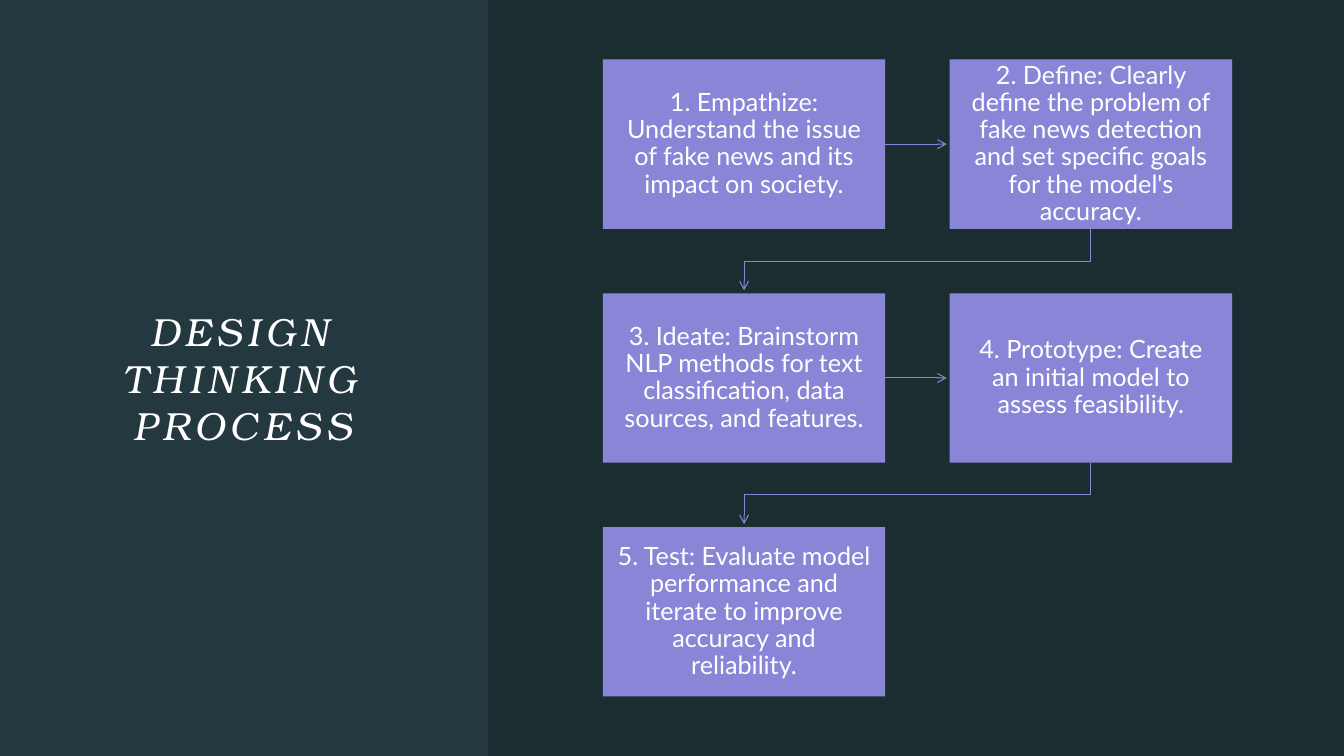
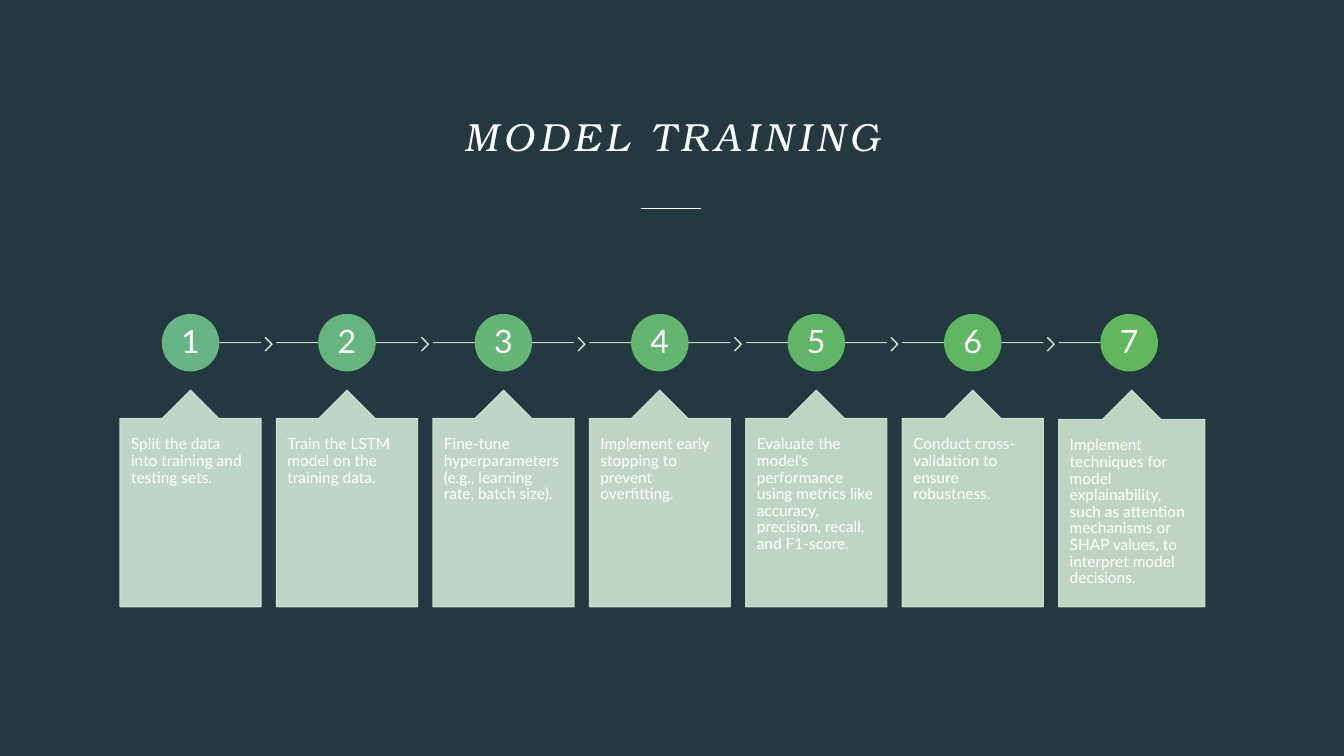
from dataclasses import dataclass
from typing import NamedTuple

from lxml import etree
from pptx import Presentation
from pptx import util as u
from pptx.dml import color as c
from pptx.enum import shapes as es, text as et
from pptx.oxml import ns
from pptx.shapes import autoshape as auto, base, connector as con
from pptx.slide import Slide


@dataclass(frozen=True)
class Theme:
    background: str = "24393F"
    panel: str = "000000"
    white: str = "FFFFFF"
    process: str = "8985D7"
    title_font: str = "TeX Gyre Bonum"
    body_font: str = "Lato"
    title_size: float = 28
    process_size: float = 18
    number_size: float = 23
    caption_size: float = 11
    title_tracking: int = 400
    line_spacing: float = 0.9
    hairline: float = 0.75
    panel_opacity: int = 20
    tint_opacity: int = 90


THEME = Theme()


class Box(NamedTuple):
    left: float
    top: float
    width: float
    height: float

    def lengths(self) -> list[u.Length]:
        return [u.Inches(value) for value in self]


class Point(NamedTuple):
    x: float
    y: float


class TrainingStep(NamedTuple):
    caption: str
    circle: str
    tint: str
    width: float = 1.4


PROCESS_STEPS = [
    "1. Empathize: Understand the issue of fake news and its impact on society.",
    "2. Define: Clearly define the problem of fake news detection and set "
    "specific goals for the model's accuracy.",
    "3. Ideate: Brainstorm NLP methods for text classification, data sources, "
    "and features.",
    "4. Prototype: Create an initial model to assess feasibility.",
    "5. Test: Evaluate model performance and iterate to improve accuracy and "
    "reliability.",
]

TRAINING_STEPS = [
    TrainingStep("Split the data into training and testing sets.", "68B484", "D3E5D8"),
    TrainingStep("Train the LSTM model on the training data.", "66B47E", "D3E5D7"),
    TrainingStep("Fine-tune hyperparameters (e.g., learning rate, batch size).",
                 "65B577", "D3E5D6"),
    TrainingStep("Implement early stopping to prevent overfitting.", "63B570", "D3E5D5"),
    TrainingStep("Evaluate the model's performance using metrics like accuracy, "
                 "precision, recall, and F1-score.", "61B569", "D2E5D4"),
    TrainingStep("Conduct cross-validation to ensure robustness.", "60B662", "D2E5D3"),
    TrainingStep("Implement techniques for model explainability, such as attention "
                 "mechanisms or SHAP values, to interpret model decisions.",
                 "62B65E", "D3E5D2", 1.45),
]


def rgb(value: str) -> c.RGBColor:
    return c.RGBColor.from_string(value)


def set_opacity(shape: base.BaseShape, percent: int) -> None:
    for color in shape.element.spPr.findall(f".//{ns.qn('a:srgbClr')}"):
        etree.SubElement(color, ns.qn("a:alpha"), val=str(percent * 1000))


def set_arrowhead(shape: base.BaseShape) -> None:
    line = shape.element.spPr.find(ns.qn("a:ln"))
    etree.SubElement(line, ns.qn("a:tailEnd"), type="arrow")


def style_line(shape: auto.Shape | con.Connector, color: str, width: float) -> None:
    shape.line.color.rgb = rgb(color)
    shape.line.width = u.Pt(width)


def add_block(slide: Slide, kind: es.MSO_SHAPE, box: Box, fill: str,
              outlined: bool = False, opacity: int = 100) -> auto.Shape:
    shape = slide.shapes.add_shape(kind, *box.lengths())
    shape.shadow.inherit = False
    shape.fill.solid()
    shape.fill.fore_color.rgb = rgb(fill)
    if outlined:
        style_line(shape, fill, THEME.hairline)
    else:
        shape.line.fill.background()
    if opacity < 100:
        set_opacity(shape, opacity)
    return shape


def add_line(slide: Slide, start: Point, end: Point, color: str,
             width: float = THEME.hairline) -> con.Connector:
    line = slide.shapes.add_connector(
        es.MSO_CONNECTOR.STRAIGHT, *(u.Inches(value) for value in (*start, *end)))
    style_line(line, color, width)
    etree.SubElement(line.element.spPr, ns.qn("a:effectLst"))
    return line


def add_elbow(slide: Slide, points: list[Point], color: str) -> auto.Shape:
    corners = [(u.Inches(point.x), u.Inches(point.y)) for point in points]
    builder = slide.shapes.build_freeform(*corners[0])
    builder.add_line_segments(corners[1:], close=False)
    elbow = builder.convert_to_shape()
    elbow.shadow.inherit = False
    elbow.fill.background()
    style_line(elbow, color, THEME.hairline)
    return elbow


def write_text(shape: auto.Shape, text: str, size: float, inset_x: float, inset_y: float,
               align: et.PP_ALIGN = et.PP_ALIGN.CENTER,
               anchor: et.MSO_ANCHOR = et.MSO_ANCHOR.MIDDLE,
               font: str = THEME.body_font,
               spacing: float = THEME.line_spacing) -> et.PP_ALIGN:
    frame = shape.text_frame
    frame.word_wrap = True
    frame.auto_size = et.MSO_AUTO_SIZE.NONE
    frame.vertical_anchor = anchor
    frame.margin_left = frame.margin_right = u.Inches(inset_x)
    frame.margin_top = frame.margin_bottom = u.Inches(inset_y)
    paragraph = frame.paragraphs[0]
    paragraph.alignment = align
    paragraph.line_spacing = spacing
    run = paragraph.add_run()
    run.text = text
    run.font.name = font
    run.font.size = u.Pt(size)
    run.font.color.rgb = rgb(THEME.white)
    return run


def add_titled_slide(presentation: Presentation, title: str, box: Box,
                     anchor: et.MSO_ANCHOR) -> Slide:
    slide = presentation.slides.add_slide(presentation.slide_layouts[5])
    shape = slide.shapes.title
    shape.left, shape.top, shape.width, shape.height = box.lengths()
    run = write_text(shape, title, THEME.title_size, 0, 0, anchor=anchor,
                     font=THEME.title_font, spacing=1.0)
    run.font.italic = True
    run.font._element.set("spc", str(THEME.title_tracking))
    return slide


def build_process_slide(presentation: Presentation) -> None:
    slide = add_titled_slide(presentation, "DESIGN THINKING PROCESS",
                             Box(0.59, 1.18, 3.63, 5.13), et.MSO_ANCHOR.MIDDLE)
    add_block(slide, es.MSO_SHAPE.RECTANGLE, Box(4.84, 0, 8.49, 7.5), THEME.panel,
              opacity=THEME.panel_opacity)
    left, top, width, height = 5.98, 0.59, 2.8, 1.68
    column_pitch, row_pitch, arrow_gap = 3.44, 2.32, 0.03
    for index, text in enumerate(PROCESS_STEPS):
        row, column = divmod(index, 2)
        box = Box(left + column * column_pitch, top + row * row_pitch, width, height)
        block = add_block(slide, es.MSO_SHAPE.RECTANGLE, box, THEME.process)
        write_text(block, text, THEME.process_size, 0.14, 0.14)
        if index == len(PROCESS_STEPS) - 1:
            continue
        if column == 0:
            middle = box.top + height / 2
            arrow = add_line(slide, Point(box.left + width, middle),
                             Point(left + column_pitch - arrow_gap, middle), THEME.process)
        else:
            start_x, end_x = box.left + width / 2, left + width / 2
            bottom, next_top = box.top + height, box.top + row_pitch
            turn = (bottom + next_top) / 2
            arrow = add_elbow(slide, [Point(start_x, bottom), Point(start_x, turn),
                                      Point(end_x, turn),
                                      Point(end_x, next_top - arrow_gap)], THEME.process)
        set_arrowhead(arrow)


def build_training_slide(presentation: Presentation) -> None:
    slide = add_titled_slide(presentation, "MODEL TRAINING",
                             Box(1.18, 0.58, 10.97, 1), et.MSO_ANCHOR.BOTTOM)
    add_line(slide, Point(6.36, 2.07), Point(6.95, 2.07), THEME.white, 1)
    first_left, last_left, half, axis, diameter = 1.19, 10.5, 0.7, 3.4, 0.56
    last = len(TRAINING_STEPS) - 1
    pitch = (last_left - first_left) / last
    for index, step in enumerate(TRAINING_STEPS):
        left = first_left + index * pitch
        center = left + half
        line = add_line(slide, Point(left if index else center, axis),
                        Point(left + 2 * half if index < last else center, axis), step.tint)
        set_opacity(line, THEME.tint_opacity)
        if index < last:
            chevron = add_block(slide, es.MSO_SHAPE.CHEVRON,
                                Box(left + 1.44, axis - 0.05, 0.07, 0.13), step.tint,
                                True, THEME.tint_opacity)
            chevron.adjustments[0] = 0.9
        circle = add_block(slide, es.MSO_SHAPE.OVAL,
                           Box(center - diameter / 2, axis - diameter / 2,
                               diameter, diameter), step.circle, True)
        write_text(circle, str(index + 1), THEME.number_size, 0.02, 0.02)
        callout = add_block(slide, es.MSO_SHAPE.UP_ARROW_CALLOUT,
                            Box(left, 3.87, step.width, 2.15), step.tint,
                            True, THEME.tint_opacity)
        for position, value in enumerate((0.5, 0.2, 0.2, 1.0)):
            callout.adjustments[position] = value
        write_text(callout, step.caption, THEME.caption_size, 0.11, 0.18,
                   et.PP_ALIGN.LEFT, et.MSO_ANCHOR.TOP)


def main() -> None:
    presentation = Presentation()
    presentation.slide_width = u.Inches(13.33)
    presentation.slide_height = u.Inches(7.5)
    background = presentation.slide_master.background.fill
    background.solid()
    background.fore_color.rgb = rgb(THEME.background)
    build_process_slide(presentation)
    build_training_slide(presentation)
    presentation.save("out.pptx")


if __name__ == "__main__":
    main()
